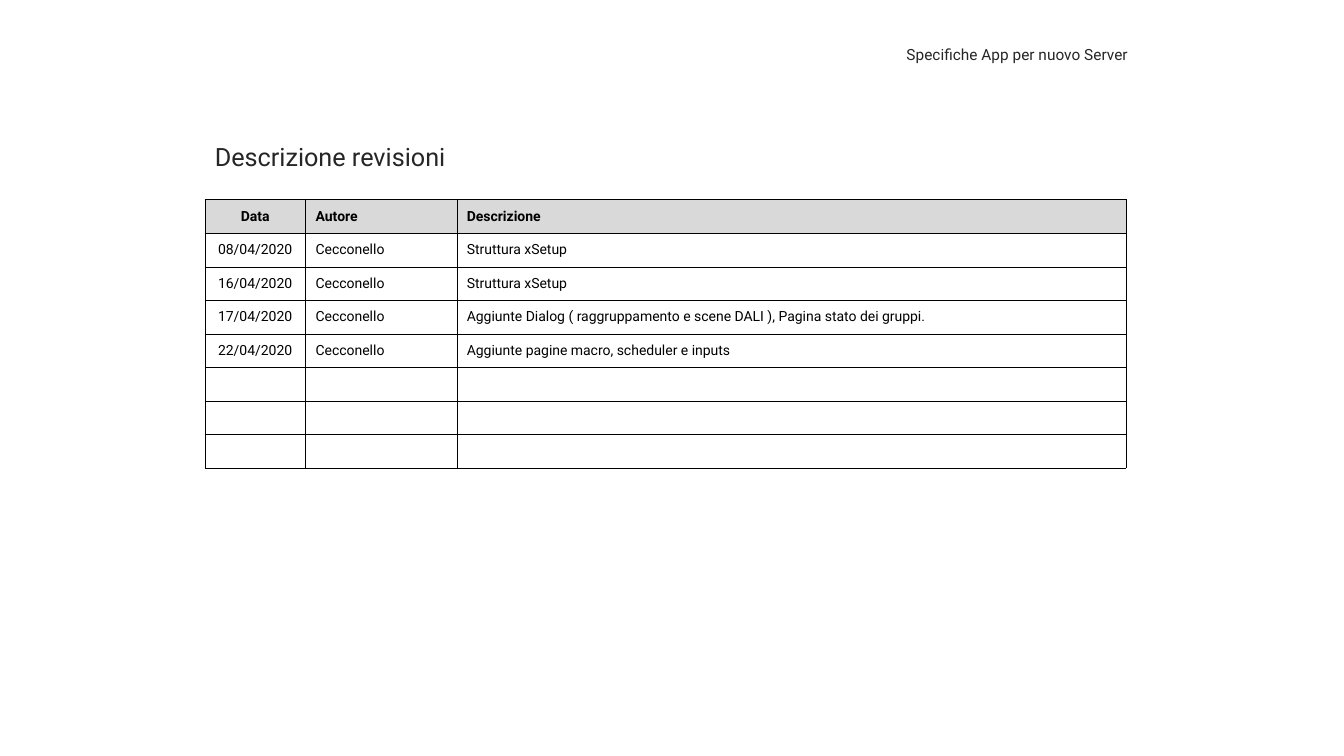
from lxml import etree
from pptx import Presentation
from pptx.dml.color import RGBColor
from pptx.enum.text import MSO_ANCHOR, MSO_AUTO_SIZE, PP_ALIGN
from pptx.oxml import parse_xml
from pptx.oxml.ns import nsdecls, qn
from pptx.util import Cm, Pt

LEFT, CENTER, RIGHT = PP_ALIGN.LEFT, PP_ALIGN.CENTER, PP_ALIGN.RIGHT
TOP, MIDDLE = MSO_ANCHOR.TOP, MSO_ANCHOR.MIDDLE
FIT_SHAPE = MSO_AUTO_SIZE.SHAPE_TO_FIT_TEXT

FONT = "Roboto"
COLORS = {"text": "262626", "cell": "000000", "border": "000000", "head": "D9D9D9"}
BORDER_PT = 0.25

COLUMNS = [("Data", 2.54, CENTER), ("Autore", 3.81, LEFT), ("Descrizione", 16.87, LEFT)]
REVISIONS = [
    ("08/04/2020", "Cecconello", "Struttura xSetup"),
    ("16/04/2020", "Cecconello", "Struttura xSetup"),
    ("17/04/2020", "Cecconello",
     "Aggiunte Dialog ( raggruppamento e scene DALI ), Pagina stato dei gruppi."),
    ("22/04/2020", "Cecconello", "Aggiunte pagine macro, scheduler e inputs"),
]
EMPTY_ROWS = 3


def rgb(name):
    """Return the named colour."""
    return RGBColor.from_string(COLORS[name])


def write(tf, text, size=10, color="cell", bold=False, align=LEFT):
    """Write one formatted paragraph; an empty one only keeps its text size."""
    p = tf.paragraphs[0]
    p.alignment = align
    if not text:
        etree.SubElement(p._p, qn("a:endParaRPr"), sz=str(size * 100))
        return
    r = p.add_run()
    r.text = text
    r.font.name = FONT
    r.font.size = Pt(size)
    r.font.bold = bold
    r.font.color.rgb = rgb(color)


def place(sp, box):
    """Move a shape to a box and let it fit its wrapped text."""
    sp.left, sp.top, sp.width, sp.height = (Cm(v) for v in box)
    tf = sp.text_frame
    tf.word_wrap = True
    tf.auto_size = FIT_SHAPE
    tf.vertical_anchor = TOP
    return tf


def add_title(s, box, text):
    """Fill the title placeholder."""
    write(place(s.shapes.title, box), text, size=18, color="text")


def add_header(s, box, text):
    """Add the right-aligned document name."""
    sp = s.shapes.add_textbox(0, 0, 0, 0)
    write(place(sp, box), text, size=11, color="text", align=RIGHT)


def set_borders(cell):
    """Draw a thin line on all four sides of a cell."""
    tc_pr = cell._tc.get_or_add_tcPr()
    for i, side in enumerate("LRTB"):
        tc_pr.insert(i, parse_xml(
            f'<a:ln{side} {nsdecls("a")} w="{Pt(BORDER_PT)}"><a:solidFill>'
            f'<a:srgbClr val="{COLORS["border"]}"/></a:solidFill></a:ln{side}>'))


def add_revisions(s, box):
    """Add the revision table with equal rows and spare empty ones."""
    names = [name for name, _, _ in COLUMNS]
    rows = [names, *REVISIONS] + [("",) * len(COLUMNS)] * EMPTY_ROWS
    left, top, width, height = (Cm(v) for v in box)
    table = s.shapes.add_table(len(rows), len(COLUMNS), left, top, width, height).table
    table.first_row = table.horz_banding = False
    for col, (_, col_width, _) in zip(table.columns, COLUMNS):
        col.width = Cm(col_width)
    for i, values in enumerate(rows):
        table.rows[i].height = height // len(rows)
        for j, (text, (_, _, align)) in enumerate(zip(values, COLUMNS)):
            cell = table.cell(i, j)
            cell.vertical_anchor = MIDDLE
            if i == 0:
                cell.fill.solid()
                cell.fill.fore_color.rgb = rgb("head")
            else:
                cell.fill.background()
            set_borders(cell)
            write(cell.text_frame, text, bold=i == 0, align=align)


def build_slide(prs):
    """Build the revision history slide."""
    s = prs.slides.add_slide(prs.slide_layouts.get_by_name("Title Only"))
    add_title(s, (5.16, 3.43, 23.85, 1.02), "Descrizione revisioni")
    add_revisions(s, (5.16, 5.03, 23.22, 6.76))
    add_header(s, (21.82, 1.02, 6.86, 0.74), "Specifiche App per nuovo Server")


prs = Presentation()
prs.slide_width, prs.slide_height = Cm(33.87), Cm(19.05)
build_slide(prs)
prs.save("out.pptx")
